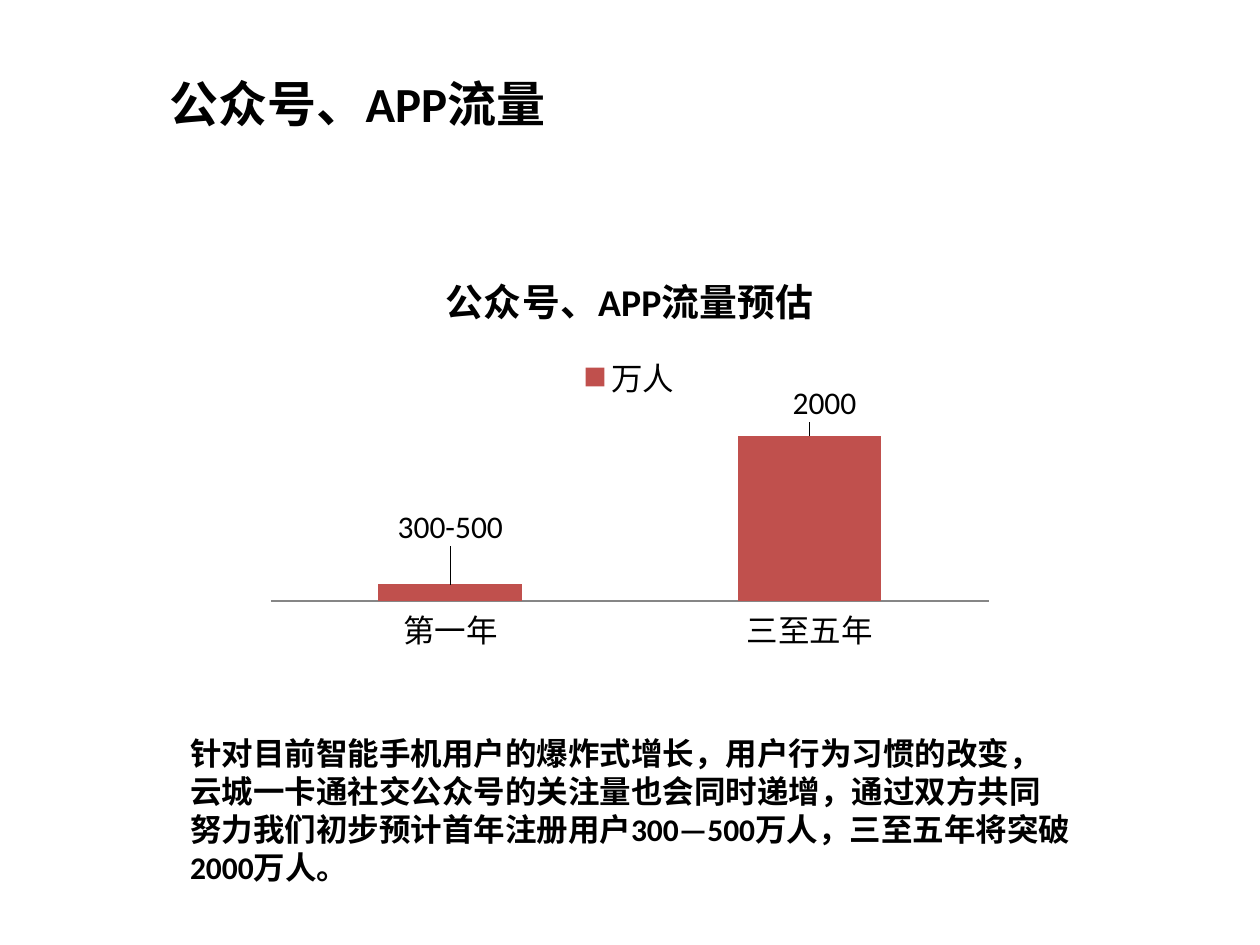
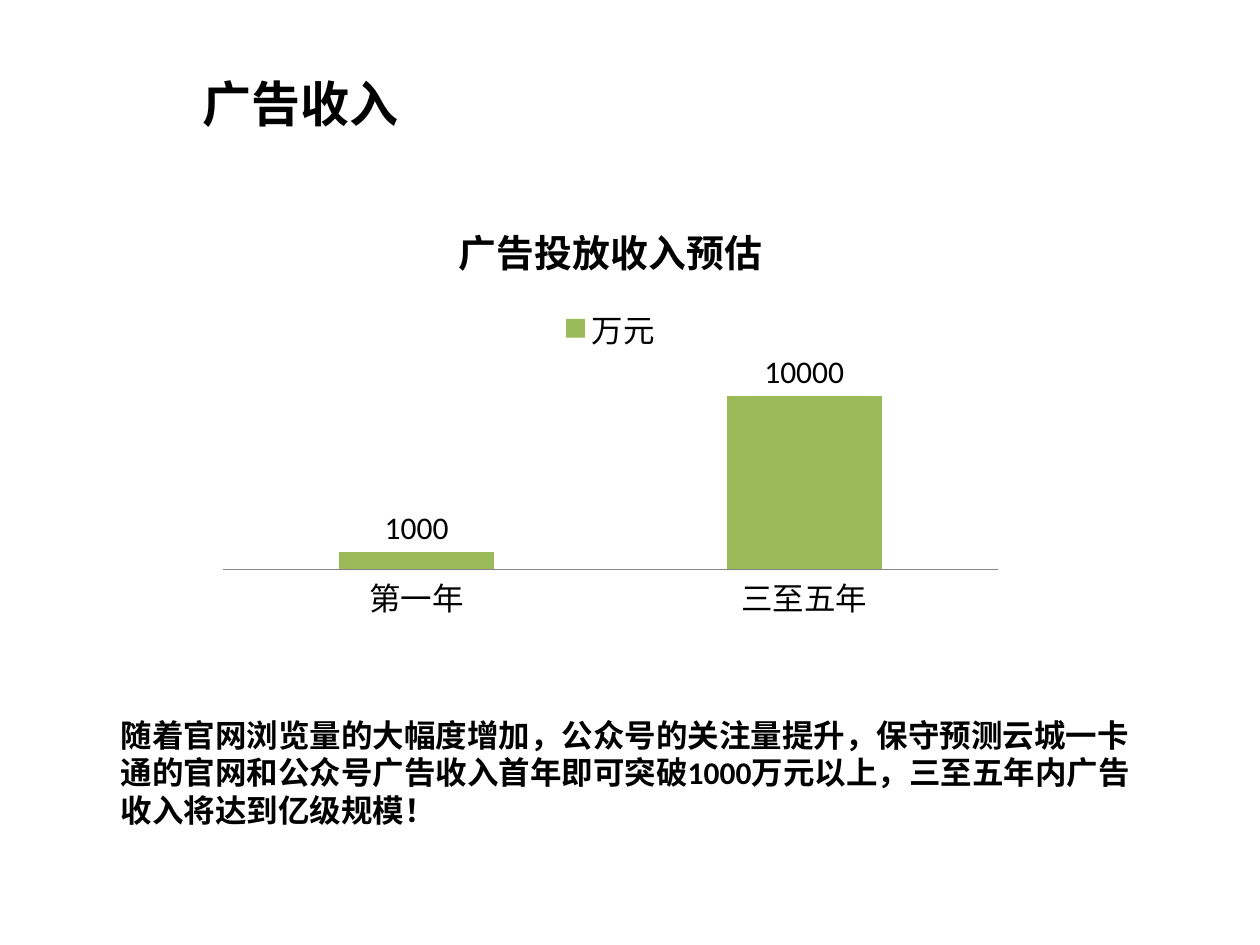
from lxml import etree
from pptx import Presentation
from pptx.chart.data import CategoryChartData
from pptx.dml.color import RGBColor
from pptx.enum.chart import XL_CHART_TYPE, XL_LABEL_POSITION, XL_LEGEND_POSITION, XL_TICK_MARK
from pptx.enum.text import MSO_ANCHOR
from pptx.oxml.ns import qn
from pptx.util import Inches, Pt

COLUMNS = XL_CHART_TYPE.COLUMN_CLUSTERED
LABEL_ABOVE = XL_LABEL_POSITION.OUTSIDE_END
LEGEND_TOP = XL_LEGEND_POSITION.TOP
NO_TICK = XL_TICK_MARK.NONE
MIDDLE = MSO_ANCHOR.MIDDLE
TOP = MSO_ANCHOR.TOP

FONT = "Calibri"
COLORS = {"text": "000000", "axis": "868686", "traffic": "C0504D", "income": "9BBB59"}
PERIODS = ["第一年", "三至五年"]
TITLE_SIZE, CHART_TITLE_SIZE, BODY_SIZE = 28, 21.6, 18
PLOT_AREA = {"x": 0.02, "y": 0.38, "w": 0.96, "h": 0.48}

SLIDES = [
    {
        "title": "公众号、APP流量",
        "title_box": (1.25, 0.39, 6.56, 0.85),
        "chart_title": "公众号、APP流量预估",
        "chart_box": (2.03, 1.95, 5.94, 3.28),
        "unit": "万人",
        "values": [100, 1000],
        "color": "traffic",
        "labels": [("300-500", 0, -0.08), ("2000", 0.02, -0.02)],
        "summary": "针对目前智能手机用户的爆炸式增长，用户行为习惯的改变，"
                   "云城一卡通社交公众号的关注量也会同时递增，通过双方共同努力"
                   "我们初步预计首年注册用户300—500万人，三至五年将突破2000万人。",
        "summary_box": (1.41, 5.78, 7.19, 1.31),
    },
    {
        "title": "广告收入",
        "title_box": (1.51, 0.39, 6.38, 0.85),
        "chart_title": "广告投放收入预估",
        "chart_box": (1.64, 1.56, 6.41, 3.44),
        "unit": "万元",
        "values": [1000, 10000],
        "color": "income",
        "labels": [],
        "summary": "随着官网浏览量的大幅度增加，公众号的关注量提升，"
                   "保守预测云城一卡通的官网和公众号广告收入首年即可突破1000万元以上，"
                   "三至五年内广告收入将达到亿级规模！",
        "summary_box": (0.86, 5.63, 8.28, 1.01),
    },
]


def style_font(font, size, bold=False):
    font.name = FONT
    font.size = Pt(size)
    font.bold = bold
    font.color.rgb = RGBColor.from_string(COLORS["text"])


def add_text(page, box, text, size, anchor):
    frame = page.shapes.add_textbox(*map(Inches, box)).text_frame
    frame.word_wrap = True
    frame.vertical_anchor = anchor
    para = frame.paragraphs[0]
    para.text = text
    style_font(para.font, size, bold=True)


def make_layout(settings):
    layout = etree.Element(qn("c:layout"))
    manual = etree.SubElement(layout, qn("c:manualLayout"))
    for name, value in settings.items():
        etree.SubElement(manual, qn(f"c:{name}")).set("val", str(value))
    return layout


def fix_plot_area(chart):
    plot_area = chart.plots[0]._element.getparent()
    for old_layout in plot_area.findall(qn("c:layout")):
        plot_area.remove(old_layout)
    modes = {"layoutTarget": "inner", "xMode": "edge", "yMode": "edge"}
    plot_area.insert(0, make_layout(modes | PLOT_AREA))


def add_custom_labels(series, labels):
    for index, (text, shift_x, shift_y) in enumerate(labels):
        label = series.points[index].data_label
        para = label.text_frame.paragraphs[0]
        para.text = text
        style_font(para.font, BODY_SIZE)
        label.position = LABEL_ABOVE
        element = series._element.findall(".//" + qn("c:dLbl"))[index]
        element.insert(1, make_layout({"x": shift_x, "y": shift_y}))


def add_forecast_chart(page, content):
    data = CategoryChartData()
    data.categories = PERIODS
    data.add_series(content["unit"], content["values"])
    box = map(Inches, content["chart_box"])
    chart = page.shapes.add_chart(COLUMNS, *box, data).chart
    style_font(chart.font, BODY_SIZE)

    chart.has_title = True
    heading = chart.chart_title.text_frame.paragraphs[0]
    heading.text = content["chart_title"]
    style_font(heading.font, CHART_TITLE_SIZE, bold=True)
    chart.chart_title.include_in_layout = False

    chart.has_legend = True
    chart.legend.position = LEGEND_TOP
    chart.legend.include_in_layout = False

    periods = chart.category_axis
    periods.major_tick_mark = periods.minor_tick_mark = NO_TICK
    periods.format.line.color.rgb = RGBColor.from_string(COLORS["axis"])
    amounts = chart.value_axis
    amounts.visible = False
    amounts.has_major_gridlines = False
    amounts.minimum_scale = 0
    amounts.maximum_scale = max(content["values"]) * 1.2

    plot = chart.plots[0]
    plot.gap_width = 150
    plot.vary_by_categories = False
    series = plot.series[0]
    series.format.fill.solid()
    series.format.fill.fore_color.rgb = RGBColor.from_string(COLORS[content["color"]])
    series.data_labels.show_value = True
    series.data_labels.position = LABEL_ABOVE
    style_font(series.data_labels.font, BODY_SIZE)
    add_custom_labels(series, content["labels"])
    fix_plot_area(chart)


def add_forecast_slide(deck, content):
    page = deck.slides.add_slide(deck.slide_layouts[6])
    add_text(page, content["title_box"], content["title"], TITLE_SIZE, MIDDLE)
    add_forecast_chart(page, content)
    add_text(page, content["summary_box"], content["summary"], BODY_SIZE, TOP)


def main():
    deck = Presentation()
    deck.slide_width, deck.slide_height = Inches(10), Inches(7.5)
    for content in SLIDES:
        add_forecast_slide(deck, content)
    deck.save("out.pptx")


if __name__ == "__main__":
    main()
